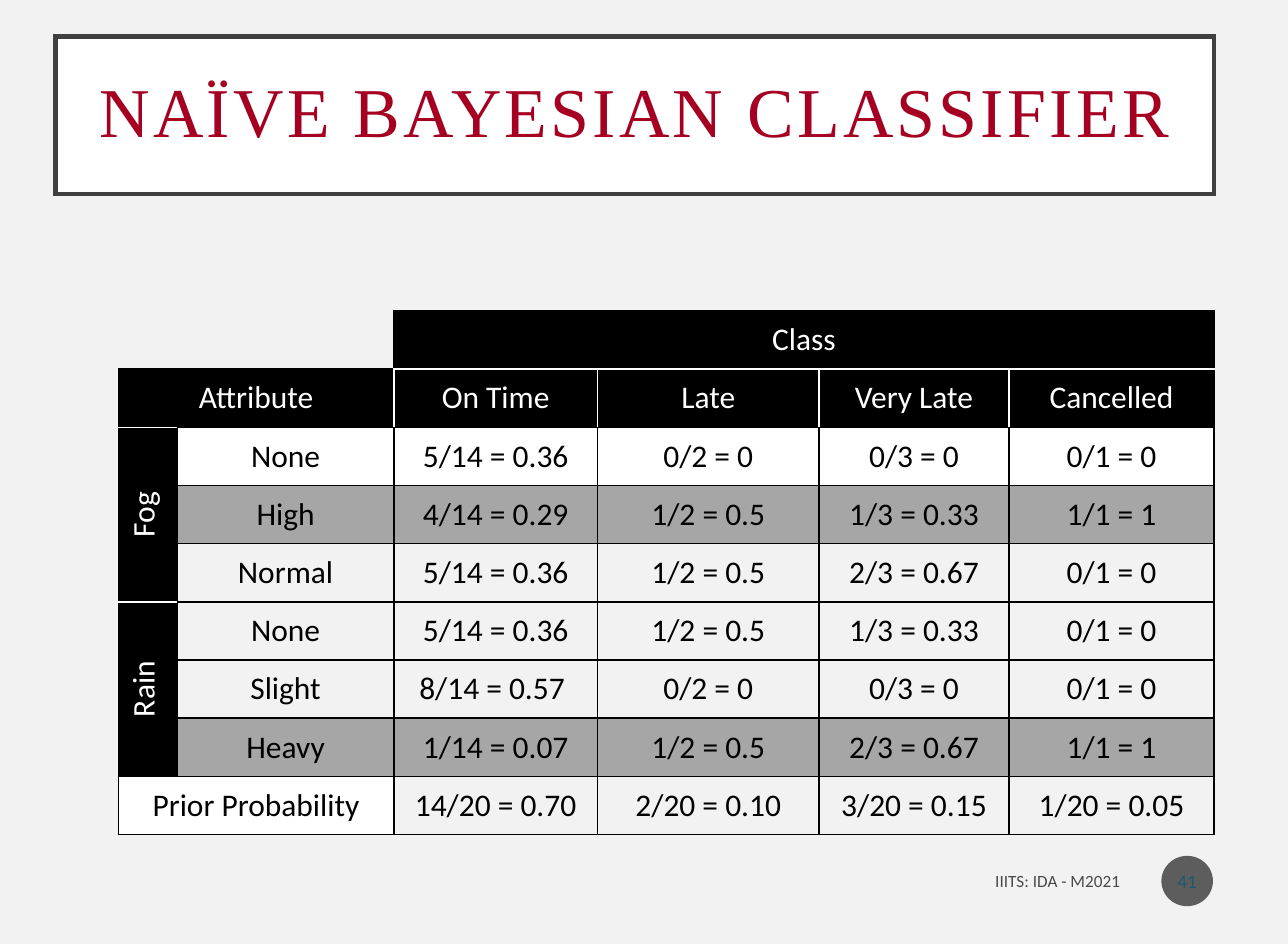
from lxml import etree
from pptx import Presentation
from pptx.dml.color import RGBColor
from pptx.enum.shapes import MSO_SHAPE
from pptx.enum.text import MSO_ANCHOR, PP_ALIGN
from pptx.oxml.ns import qn
from pptx.util import Inches, Pt

RECT, OVAL = MSO_SHAPE.RECTANGLE, MSO_SHAPE.OVAL
MIDDLE = MSO_ANCHOR.MIDDLE
CENTER, RIGHT = PP_ALIGN.CENTER, PP_ALIGN.RIGHT
BLACK, WHITE, GRAY = "000000", "FFFFFF", "A6A6A6"

WIDTHS = [0.47, 1.72, 1.62, 1.76, 1.51, 1.63]
HEIGHT = 4.16 / 9
ROWS = [
    ["", "", "Class", "", "", ""],
    ["Attribute", "", "On Time", "Late", "Very Late", "Cancelled"],
    ["Fog", "None", "5/14 = 0.36", "0/2 = 0", "0/3 = 0", "0/1 = 0"],
    ["", "High", "4/14 = 0.29", "1/2 = 0.5", "1/3 = 0.33", "1/1 = 1"],
    ["", "Normal", "5/14 = 0.36", "1/2 = 0.5", "2/3 = 0.67", "0/1 = 0"],
    ["Rain", "None", "5/14 = 0.36", "1/2 = 0.5", "1/3 = 0.33", "0/1 = 0"],
    ["", "Slight", "8/14 = 0.57 ", "0/2 = 0", "0/3 = 0", "0/1 = 0"],
    ["", "Heavy", "1/14 = 0.07", "1/2 = 0.5", "2/3 = 0.67", "1/1 = 1"],
    ["Prior Probability", "", "14/20 = 0.70", "2/20 = 0.10", "3/20 = 0.15", "1/20 = 0.05"],
]
FILLS = [
    [None] * 2 + [BLACK] * 4,
    [BLACK] * 6,
    [BLACK] + [WHITE] * 5,
    [BLACK] + [GRAY] * 5,
    [BLACK] + [None] * 5,
    [BLACK] + [None] * 5,
    [BLACK] + [None] * 5,
    [BLACK] + [GRAY] * 5,
    [WHITE] * 2 + [None] * 4,
]
SPANS = [(0, 0, 0, 1), (0, 2, 0, 5), (1, 0, 1, 1), (2, 0, 4, 0), (5, 0, 7, 0), (8, 0, 8, 1)]


def color(code):
    return RGBColor.from_string(code)


def paint(item, code):
    if code:
        item.fill.solid()
        item.fill.fore_color.rgb = color(code)
    else:
        item.fill.background()


def write(frame, text, size, code, face="Calibri", align=CENTER):
    frame.text = text
    line = frame.paragraphs[0]
    line.alignment = align
    line.font.size = Pt(size)
    line.font.name = face
    line.font.color.rgb = color(code)
    return line


def add_box(slide, kind, place, fill, inset):
    box = slide.shapes.add_shape(kind, *map(Inches, place))
    box.shadow.inherit = False
    paint(box, fill)
    box.line.fill.background()
    frame = box.text_frame
    frame.word_wrap = True
    frame.vertical_anchor = MIDDLE
    frame.margin_left = frame.margin_right = Inches(inset)
    frame.margin_top = frame.margin_bottom = Inches(inset)
    return box


def add_title(slide):
    box = add_box(slide, RECT, (0.44, 0.29, 9.21, 1.25), WHITE, 0.2)
    box.line.color.rgb = color("404040")
    box.line.width = Pt(2.5)
    etree.SubElement(box.line._get_or_add_ln(), qn("a:miter"), lim="800000")
    line = write(box.text_frame, "NAÏVE BAYESIAN CLASSIFIER", 40, "A50021", "Times New Roman")
    line.line_spacing = 0.9
    line.runs[0].font._element.set("spc", "190")


def add_edge(cell, side, code):
    edge = etree.SubElement(cell._tc.get_or_add_tcPr(), qn(f"a:ln{side}"), w=str(Pt(1)))
    if code:
        fill = etree.SubElement(edge, qn("a:solidFill"))
        etree.SubElement(fill, qn("a:srgbClr"), val=code)
    else:
        etree.SubElement(edge, qn("a:noFill"))


def is_dark(row, col):
    inside = 0 <= row < len(ROWS) and 0 <= col < len(WIDTHS)
    return inside and FILLS[row][col] == BLACK


def add_edges(cell, row, col):
    sides = {
        "L": (row, col - 1),
        "R": (row, col + cell.span_width),
        "T": (row - 1, col),
        "B": (row + cell.span_height, col),
    }
    for side, (other_row, other_col) in sides.items():
        both = is_dark(row, col) and is_dark(other_row, other_col)
        open_side = row == col == 0 and side in "LT"
        add_edge(cell, side, None if open_side else WHITE if both else BLACK)


def add_grid(slide):
    frame = slide.shapes.add_table(
        len(ROWS), len(WIDTHS), Inches(0.94), Inches(2.47),
        Inches(sum(WIDTHS)), Inches(HEIGHT * len(ROWS)))
    table = frame.table
    table.first_row = table.horz_banding = False
    for column, width in zip(table.columns, WIDTHS):
        column.width = Inches(width)
    for row in table.rows:
        row.height = Inches(HEIGHT)
    for top, left, bottom, right in SPANS:
        table.cell(top, left).merge(table.cell(bottom, right))
    for row, texts in enumerate(ROWS):
        for col, text in enumerate(texts):
            cell = table.cell(row, col)
            fill = FILLS[row][col]
            if not cell.is_spanned:
                add_edges(cell, row, col)
            elif row == 0 and col == 1:
                add_edge(cell, "T", None)
            paint(cell, fill)
            if text:
                cell.vertical_anchor = MIDDLE
                write(cell.text_frame, text, 18, WHITE if fill == BLACK else BLACK)
            if cell.span_height > 1:
                cell._tc.get_or_add_tcPr().set("vert", "vert270")


def add_footer(slide):
    badge = add_box(slide, OVAL, (9.23, 6.8, 0.41, 0.4), "5D5D5D", 0)
    write(badge.text_frame, "41", 11, "1B5A70")
    box = slide.shapes.add_textbox(*map(Inches, (6.69, 6.82, 2.31, 0.35)))
    box.text_frame.word_wrap = True
    box.text_frame.vertical_anchor = MIDDLE
    write(box.text_frame, "IIITS: IDA - M2021", 9.8, "494949", align=RIGHT)


def main():
    deck = Presentation()
    deck.slide_width, deck.slide_height = Inches(26 / 2.54), Inches(7.5)
    slide = deck.slides.add_slide(deck.slide_layouts[6])
    paint(slide.background, "F2F2F2")
    add_title(slide)
    add_grid(slide)
    add_footer(slide)
    deck.save("out.pptx")


if __name__ == "__main__":
    main()
